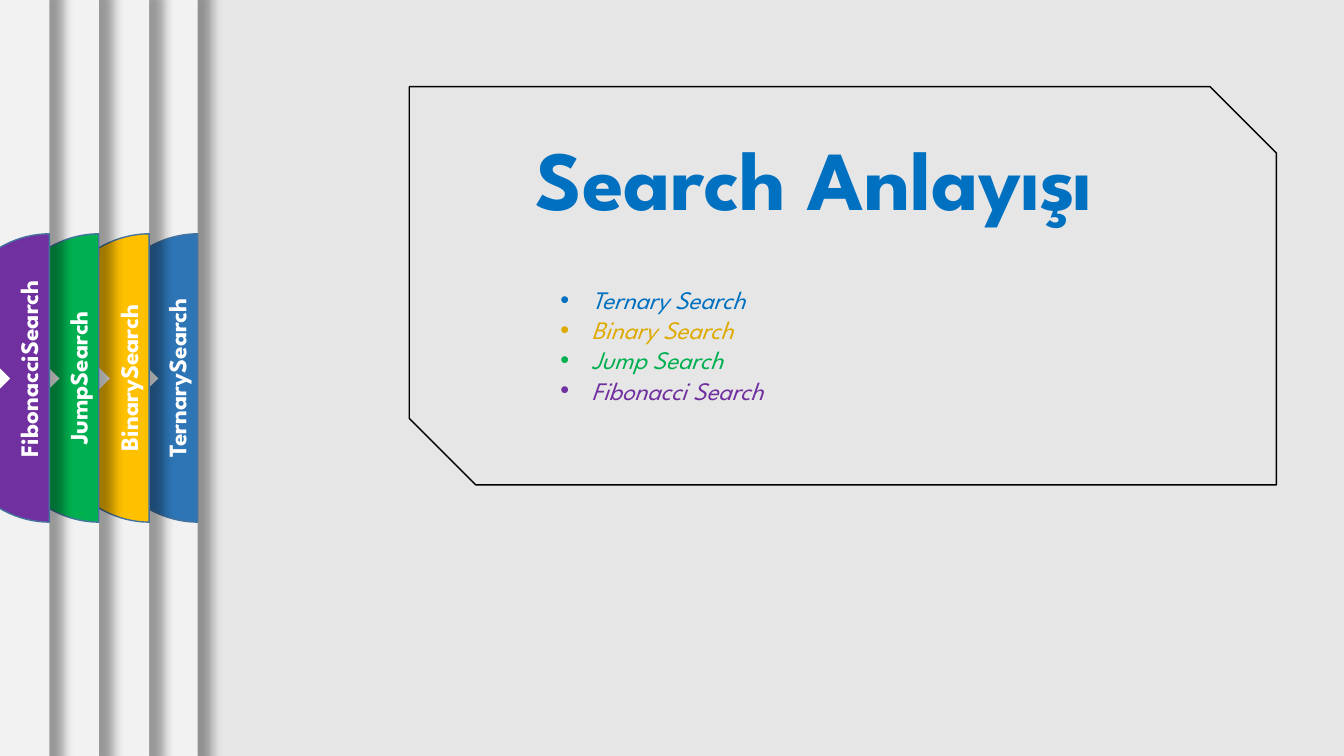
from dataclasses import dataclass

from lxml.etree import SubElement
from pptx import Presentation
from pptx.dml.color import RGBColor
from pptx.enum.shapes import MSO_SHAPE as Preset
from pptx.enum.text import MSO_AUTO_SIZE as AutoSize, PP_ALIGN as Align
from pptx.oxml.ns import qn
from pptx.shapes.autoshape import Shape
from pptx.shapes.shapetree import GroupShapes
from pptx.util import Inches, Pt

FONT = "League Spartan"
WIDTH, HEIGHT = 13.33, 7.5
MIDDLE = HEIGHT / 2
TAB_WIDTH, TAB_HEIGHT = 1.16, 2.86
ARC = 0.55  # Bezier handle length for a quarter ellipse


@dataclass(frozen=True)
class Panel:
    label: str
    color: str
    right: float
    label_middle: float = MIDDLE
    label_width: float = 2.1


@dataclass(frozen=True)
class Topic:
    name: str
    color: str


PANELS = [
    Panel("TernarySearch", "2E75B6", 1.96),
    Panel("BinarySearch", "FFC000", 1.48),
    Panel("JumpSearch", "00B050", 0.98),
    Panel("FibonacciSearch", "7030A0", 0.49, 3.66, 2.28),
]
TOPICS = [
    Topic("Ternary Search", "0070C0"),
    Topic("Binary Search", "DEA900"),
    Topic("Jump Search", "00B050"),
    Topic("Fibonacci Search", "7030A0"),
]


def rgb(color: str) -> RGBColor:
    return RGBColor.from_string(color)


def style(shape: Shape, fill: str | None, line: str | None = None) -> None:
    shape.shadow.inherit = False
    if fill:
        shape.fill.solid()
        shape.fill.fore_color.rgb = rgb(fill)
    else:
        shape.fill.background()
    if line:
        shape.line.color.rgb = rgb(line)
        shape.line.width = Pt(1)
    else:
        shape.line.fill.background()


def add_preset(shapes, preset: Preset, left: float, top: float, width: float,
               height: float, fill: str | None, line: str | None = None) -> Shape:
    shape = shapes.add_shape(preset, Inches(left), Inches(top), Inches(width), Inches(height))
    style(shape, fill, line)
    return shape


def add_shadow(shape: Shape) -> None:
    effects = shape._element.spPr.find(qn("a:effectLst"))
    shadow = SubElement(effects, qn("a:outerShdw"), blurRad=str(Pt(8)),
                        sx="102000", sy="102000", algn="ctr", rotWithShape="0")
    color = SubElement(shadow, qn("a:srgbClr"), val="000000")
    SubElement(color, qn("a:alpha"), val="36000")


def add_text_box(shapes, left: float, top: float, width: float, height: float) -> Shape:
    box = shapes.add_textbox(Inches(left), Inches(top), Inches(width), Inches(height))
    box.text_frame.word_wrap = True
    box.text_frame.auto_size = AutoSize.SHAPE_TO_FIT_TEXT
    return box


def add_run(paragraph, text: str, size: float, color: str,
            bold: bool = False, italic: bool = False) -> None:
    run = paragraph.add_run()
    run.text = text
    font = run.font
    font.name, font.size, font.bold, font.italic = FONT, Pt(size), bold, italic
    font.color.rgb = rgb(color)


def add_bullet(paragraph) -> None:
    properties = paragraph._p.get_or_add_pPr()
    properties.set("marL", str(Inches(0.31)))
    properties.set("indent", str(Inches(-0.31)))
    SubElement(properties, qn("a:buFont"), typeface="Arial")
    SubElement(properties, qn("a:buChar"), char="•")


def add_half_ellipse(shapes: GroupShapes, right: float, color: str) -> None:
    left, radius = right - TAB_WIDTH, TAB_HEIGHT / 2
    corners = [(right, MIDDLE + radius), (left, MIDDLE), (right, MIDDLE - radius)]
    builder = shapes.build_freeform(Inches(right), Inches(MIDDLE - radius))
    builder.add_line_segments([(Inches(x), Inches(y)) for x, y in corners], close=True)
    tab = builder.convert_to_shape()
    style(tab, color, "43739E")

    # Bend the two left-hand segments into quarter ellipses
    near, far = TAB_WIDTH * (1 - ARC), radius * ARC
    handles = [[(near, TAB_HEIGHT), (0, radius + far)], [(0, radius - far), (near, 0)]]
    segments = list(tab._element.iter(qn("a:lnTo")))[1:]
    for segment, pair in zip(segments, handles):
        curve = segment.makeelement(qn("a:cubicBezTo"))
        for x, y in pair:
            SubElement(curve, qn("a:pt"), x=str(Inches(x)), y=str(Inches(y)))
        curve.append(segment[0])
        segment.getparent().replace(segment, curve)


def add_panel(slide, panel: Panel) -> None:
    shapes = slide.shapes.add_group_shape().shapes
    sheet = add_preset(shapes, Preset.RECTANGLE, panel.right - WIDTH, 0, WIDTH, HEIGHT, "F2F2F2")
    add_shadow(sheet)
    add_half_ellipse(shapes, panel.right, panel.color)
    label = add_text_box(shapes, panel.right - 0.21 - panel.label_width / 2,
                         panel.label_middle - 0.2, panel.label_width, 0.4)
    label.rotation = 270
    paragraph = label.text_frame.paragraphs[0]
    paragraph.alignment = Align.CENTER
    add_run(paragraph, panel.label, 18, "FFFFFF", bold=True)
    add_preset(shapes, Preset.CHEVRON, panel.right - 1.06, 3.42, 0.67, 0.67, "FFFFFF")


def main() -> None:
    presentation = Presentation()
    presentation.slide_width = Inches(WIDTH)
    presentation.slide_height = Inches(HEIGHT)
    slide = presentation.slides.add_slide(presentation.slide_layouts[6])
    slide.background.fill.solid()
    slide.background.fill.fore_color.rgb = rgb("E7E6E6")

    # Stacked side panels
    for panel in PANELS:
        add_panel(slide, panel)

    # Title
    title = add_text_box(slide.shapes, 5.21, 1.21, 8.12, 1.11)
    add_run(title.text_frame.paragraphs[0], "Search Anlayışı", 60, "0070C0", bold=True)

    # Topic list
    frame = add_text_box(slide.shapes, 5.46, 2.77, 3.34, 1.31).text_frame
    for index, topic in enumerate(TOPICS):
        paragraph = frame.add_paragraph() if index else frame.paragraphs[0]
        add_bullet(paragraph)
        add_run(paragraph, topic.name, 18, topic.color, italic=True)

    # Outline around title and topics
    add_preset(slide.shapes, Preset.SNIP_2_DIAG_RECTANGLE, 4.06, 0.86, 8.6, 3.95, None, "000000")

    presentation.save("out.pptx")


if __name__ == "__main__":
    main()
